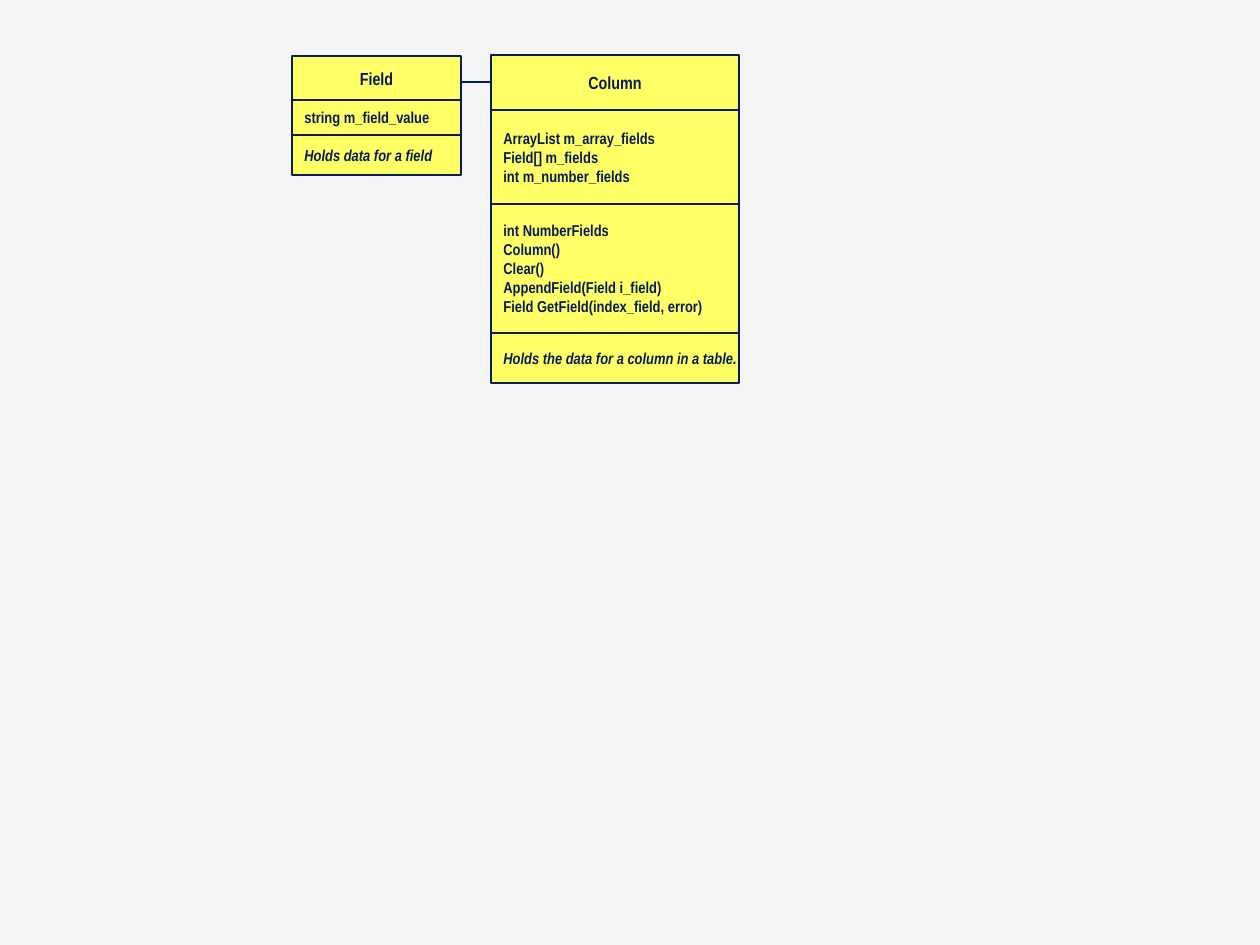
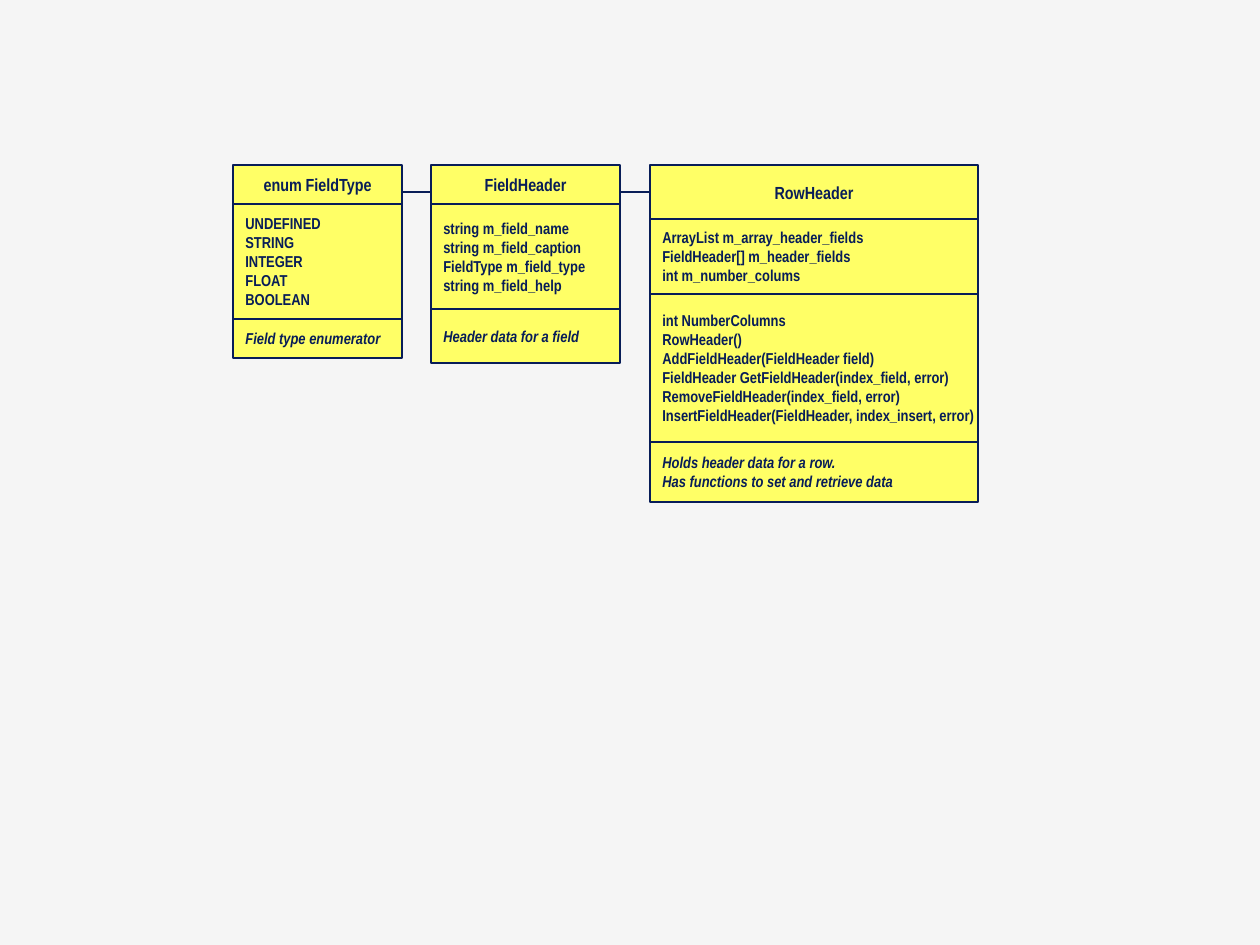
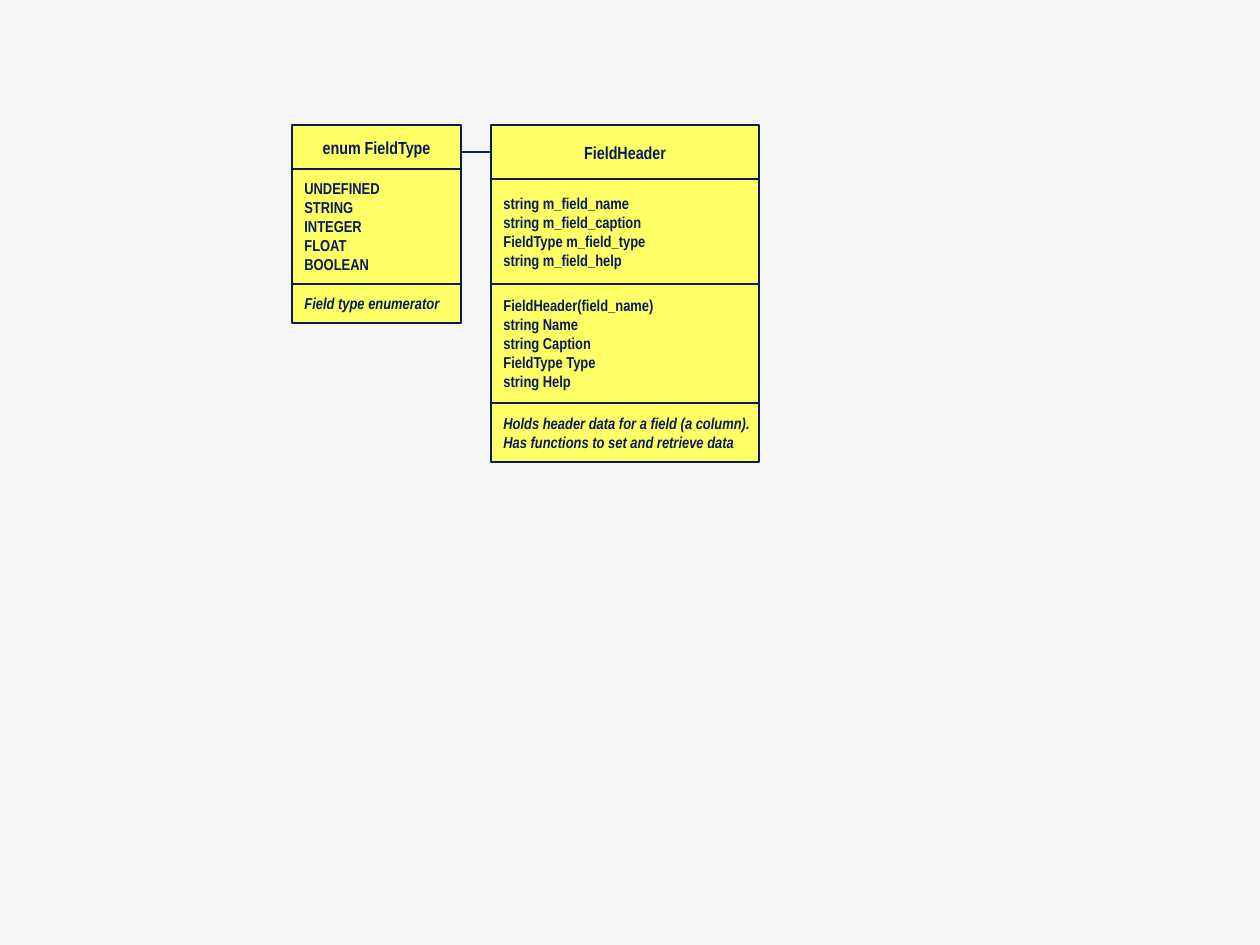
from lxml import etree
from pptx import Presentation
from pptx.dml.color import RGBColor
from pptx.enum.shapes import MSO_CONNECTOR, MSO_SHAPE
from pptx.enum.text import MSO_ANCHOR, PP_ALIGN
from pptx.oxml.ns import qn
from pptx.util import Inches, Pt

# Shared look
NAVY = RGBColor(0x08, 0x1D, 0x58)
YELLOW = RGBColor(0xFF, 0xFF, 0x66)
PALE_GRAY = RGBColor(0xF5, 0xF5, 0xF5)
FONT = "Arial Narrow"
LINE_WIDTH = Pt(0.75)
NAME_SIZE, BODY_SIZE = 10, 9

# Layout in pixels
PIXEL = Inches(1) / 126
LINK_DROP = 27      # from the top of a class to its link
LINK_OVERLAP = 5    # part of a link hidden behind the left class

FIELD_TYPES = ["UNDEFINED", "STRING", "INTEGER", "FLOAT", "BOOLEAN"]
HEADER_FIELDS = ["string m_field_name", "string m_field_caption",
                 "FieldType m_field_type", "string m_field_help"]

# A class: left, top, width, then (height, lines) for each section.
# The first section is the name, the last one the description.
FIELD_CLASS = (292, 56, 169, [
    (44, ["Field"]),
    (35, ["string m_field_value"]),
    (40, ["Holds data for a field"]),
])
COLUMN_CLASS = (491, 55, 248, [
    (55, ["Column"]),
    (94, ["ArrayList m_array_fields", "Field[] m_fields",
          "int m_number_fields"]),
    (129, ["int NumberFields", "Column()", "Clear()",
           "AppendField(Field i_field)",
           "Field GetField(index_field, error)"]),
    (50, ["Holds the data for a column in a table."]),
])
ROW_HEADER_CLASS = (650, 165, 328, [
    (54, ["RowHeader"]),
    (75, ["ArrayList m_array_header_fields", "FieldHeader[] m_header_fields",
          "int m_number_colums"]),
    (148, ["int NumberColumns", "RowHeader()",
           "AddFieldHeader(FieldHeader field)",
           "FieldHeader GetFieldHeader(index_field, error)",
           "RemoveFieldHeader(index_field, error)",
           "InsertFieldHeader(FieldHeader, index_insert, error)"]),
    (60, ["Holds header data for a row.",
          "Has functions to set and retrieve data"]),
])
SHORT_FIELD_HEADER_CLASS = (431, 165, 189, [
    (39, ["FieldHeader"]),
    (105, HEADER_FIELDS),
    (54, ["Header data for a field"]),
])
FULL_FIELD_HEADER_CLASS = (491, 125, 268, [
    (54, ["FieldHeader"]),
    (105, HEADER_FIELDS),
    (119, ["FieldHeader(field_name)", "string Name", "string Caption",
           "FieldType Type", "string Help"]),
    (59, ["Holds header data for a field (a column).",
          "Has functions to set and retrieve data"]),
])


def field_type_class(left, top, name_height):
    return (left, top, 169, [
        (name_height, ["enum FieldType"]),
        (115, FIELD_TYPES),
        (39, ["Field type enumerator"]),
    ])


# Classes of each slide, from left to right
DIAGRAMS = [
    [FIELD_CLASS, COLUMN_CLASS],
    [field_type_class(233, 165, 39), SHORT_FIELD_HEADER_CLASS,
     ROW_HEADER_CLASS],
    [field_type_class(292, 125, 44), FULL_FIELD_HEADER_CLASS],
]


def px(pixels):
    return round(pixels * PIXEL)


def add_section(slide, left, top, width, height, lines, size, align, italic):
    shape = slide.shapes.add_shape(MSO_SHAPE.RECTANGLE, px(left), px(top),
                                   px(width), px(height))
    shape.shadow.inherit = False
    shape.fill.solid()
    shape.fill.fore_color.rgb = YELLOW
    shape.line.color.rgb = NAVY
    shape.line.width = LINE_WIDTH

    text_frame = shape.text_frame
    text_frame.word_wrap = False
    text_frame.vertical_anchor = MSO_ANCHOR.MIDDLE
    text_frame.text = "\n".join(lines)
    for paragraph in text_frame.paragraphs:
        paragraph.alignment = align
        for run in paragraph.runs:
            font = run.font
            font.name = FONT
            font.size = Pt(size)
            font.bold = True
            font.italic = italic
            font.color.rgb = NAVY


def add_class(slide, left, top, width, sections):
    last = len(sections) - 1
    for index, (height, lines) in enumerate(sections):
        is_name = index == 0
        add_section(slide, left, top, width, height, lines,
                    size=NAME_SIZE if is_name else BODY_SIZE,
                    align=PP_ALIGN.CENTER if is_name else PP_ALIGN.LEFT,
                    italic=index == last)
        top += height


def add_link(slide, left_class, right_class):
    start = left_class[0] + left_class[2] - LINK_OVERLAP
    end, top = right_class[:2]
    y = px(top + LINK_DROP)
    link = slide.shapes.add_connector(MSO_CONNECTOR.STRAIGHT,
                                      px(start), y, px(end), y)
    link.line.color.rgb = NAVY
    link.line.width = LINE_WIDTH
    etree.SubElement(link._element.spPr, qn("a:effectLst"))


def main():
    presentation = Presentation()
    presentation.slide_width = Inches(10)
    presentation.slide_height = Inches(7.5)
    background = presentation.slide_master.background.fill
    background.solid()
    background.fore_color.rgb = PALE_GRAY

    blank_layout = presentation.slide_layouts[6]
    for classes in DIAGRAMS:
        slide = presentation.slides.add_slide(blank_layout)
        # Links lie behind the classes
        for left_class, right_class in zip(classes, classes[1:]):
            add_link(slide, left_class, right_class)
        for class_box in classes:
            add_class(slide, *class_box)

    presentation.save("out.pptx")


main()
